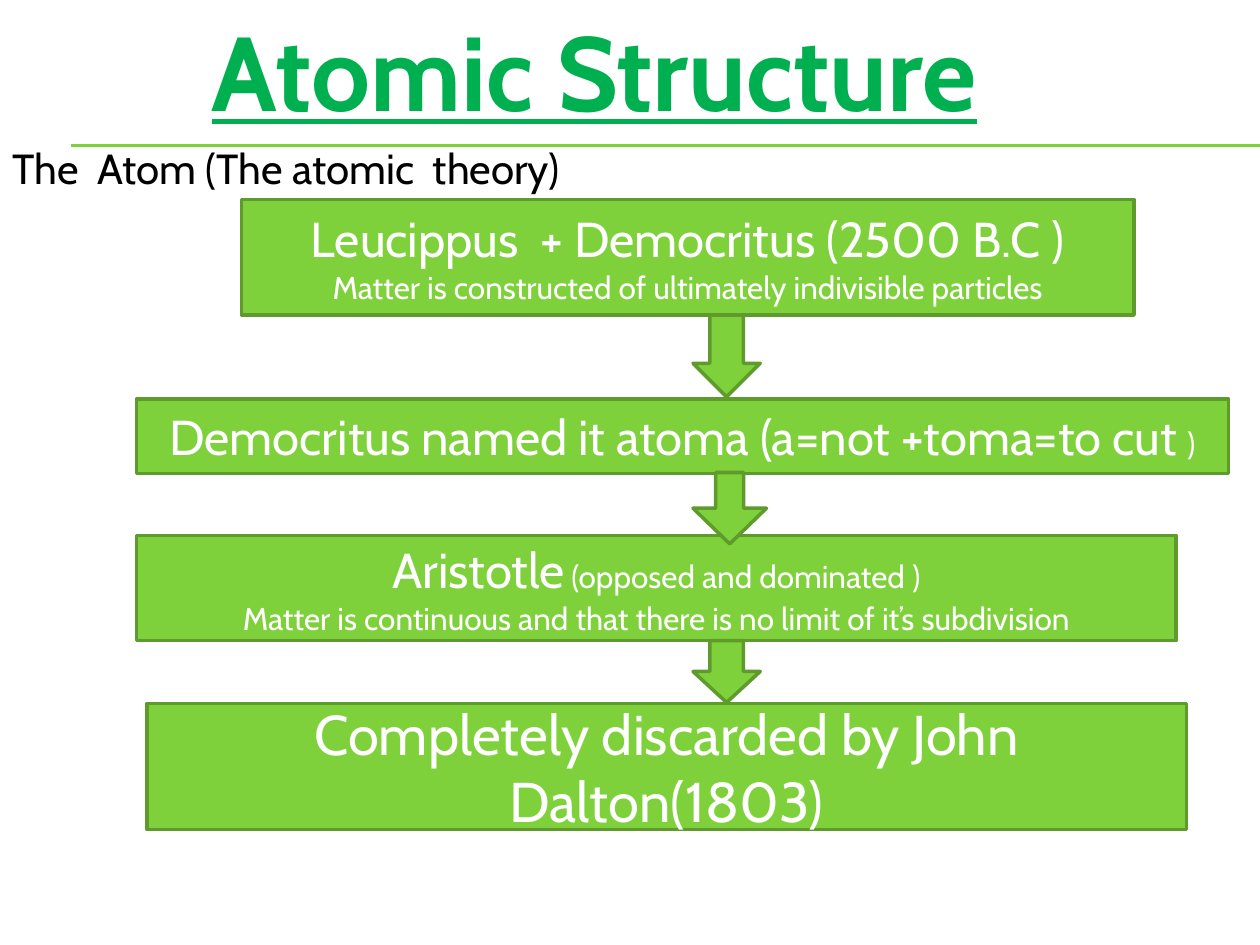
from pptx import Presentation
from pptx.dml.color import RGBColor
from pptx.enum.shapes import MSO_CONNECTOR, MSO_SHAPE
from pptx.enum.text import MSO_ANCHOR, PP_ALIGN
from pptx.oxml.ns import qn
from pptx.util import Inches, Pt
from lxml.etree import SubElement

LIME = RGBColor(0x7F, 0xD1, 0x3B)
MOSS = RGBColor(0x5E, 0x9B, 0x2C)
GREEN = RGBColor(0x00, 0xB0, 0x50)
BLACK = RGBColor(0x00, 0x00, 0x00)
WHITE = RGBColor(0xFF, 0xFF, 0xFF)
COLS, ROWS = 120, 90


class Deck:
    font = "Cabin"

    def __init__(self, width, height):
        self.prs = Presentation()
        self.prs.slide_width = Inches(width)
        self.prs.slide_height = Inches(height)
        self.s = self.prs.slides.add_slide(self.prs.slide_layouts[6])

    def grid(self, x, y, w, h):
        col = self.prs.slide_width / COLS
        row = self.prs.slide_height / ROWS
        return [round(v) for v in (x * col, y * row, w * col, h * row)]

    def fill_text(self, sp, paragraphs, color, align=PP_ALIGN.LEFT, **style):
        tf = sp.text_frame
        tf.word_wrap = True
        for i, runs in enumerate(paragraphs):
            p = tf.add_paragraph() if i else tf.paragraphs[0]
            p.alignment = align
            for text, size in runs:
                r = p.add_run()
                r.text = text
                r.font.color.rgb = color
                values = {"name": self.font, "size": Pt(size), **style}
                for key, value in values.items():
                    setattr(r.font, key, value)

    def text(self, cell, text, size, color, **style):
        sp = self.s.shapes.add_textbox(*self.grid(*cell))
        self.fill_text(sp, [[(text, size)]], color, **style)

    def shape(self, kind, cell):
        sp = self.s.shapes.add_shape(kind, *self.grid(*cell))
        sp.shadow.inherit = False
        sp.fill.solid()
        sp.fill.fore_color.rgb = LIME
        sp.line.color.rgb = MOSS
        sp.line.width = Pt(2)
        return sp

    def box(self, cell, paragraphs):
        sp = self.shape(MSO_SHAPE.FLOWCHART_PROCESS, cell)
        sp.text_frame.vertical_anchor = MSO_ANCHOR.MIDDLE
        self.fill_text(sp, paragraphs, WHITE, PP_ALIGN.CENTER)

    def arrow(self, cell, shaft=0.5):
        sp = self.shape(MSO_SHAPE.DOWN_ARROW, cell)
        sp.adjustments[0] = shaft

    def rule(self, x, y, w):
        x, y, w, _ = self.grid(x, y, w, 0)
        c = self.s.shapes.add_connector(MSO_CONNECTOR.STRAIGHT, x, y, x + w, y)
        c.line.color.rgb = LIME
        c.line.width = Pt(0.75)
        SubElement(c._element.spPr, qn("a:effectLst"))


def main():
    deck = Deck(10, 7.5)
    for y in (13.8, 13.9):
        deck.rule(6.75, y, COLS - 6.75)
    deck.text((19, 0, 105, 13.3), "Atomic Structure", 60, GREEN,
              bold=True, underline=True)
    deck.text((0, 13, 65, 6), "The  Atom (The atomic  theory)", 24, BLACK)

    deck.box((23, 19, 85, 11), [
        [("Leucippus  + Democritus (2500 B.C )", 28)],
        [("Matter is constructed of ultimately indivisible particles", 18)],
    ])
    deck.arrow((66, 30, 6.4, 7.8))
    deck.box((13, 38, 104, 7.1), [
        [("Democritus named it atoma (a=not +toma=to cut ", 28), (")", 18)],
    ])
    deck.box((13, 51, 99, 10), [
        [("Aristotle", 28), (" (opposed and dominated )", 18)],
        [("Matter is continuous and that there is no limit of it’s subdivision", 18)],
    ])
    deck.arrow((66, 45, 7, 6.8), shaft=0.38)
    deck.arrow((66, 61, 6.4, 5.9))
    deck.box((14, 67, 99, 12), [
        [("Completely discarded by John Dalton(1803)", 32)],
    ])
    deck.prs.save("out.pptx")


if __name__ == "__main__":
    main()
